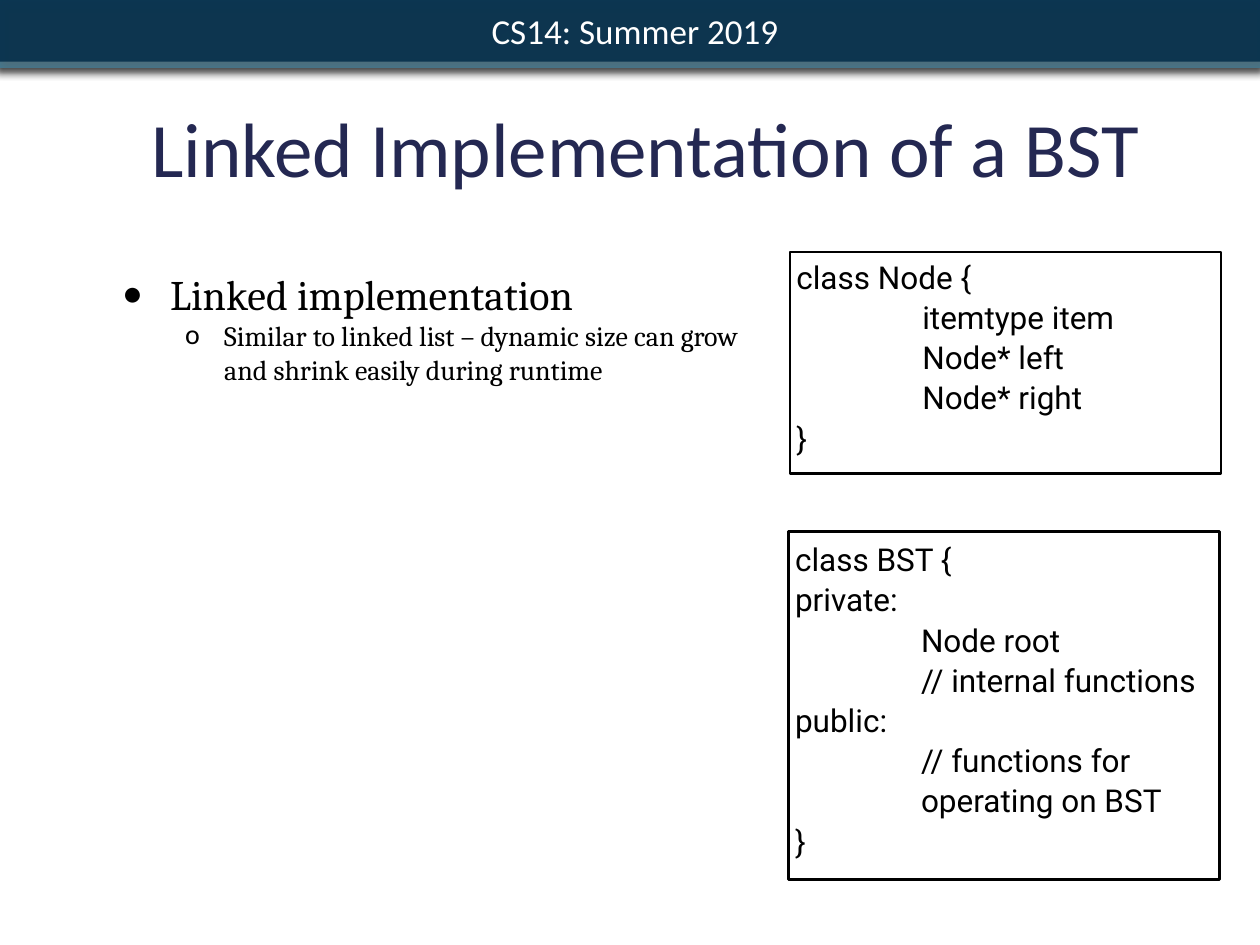
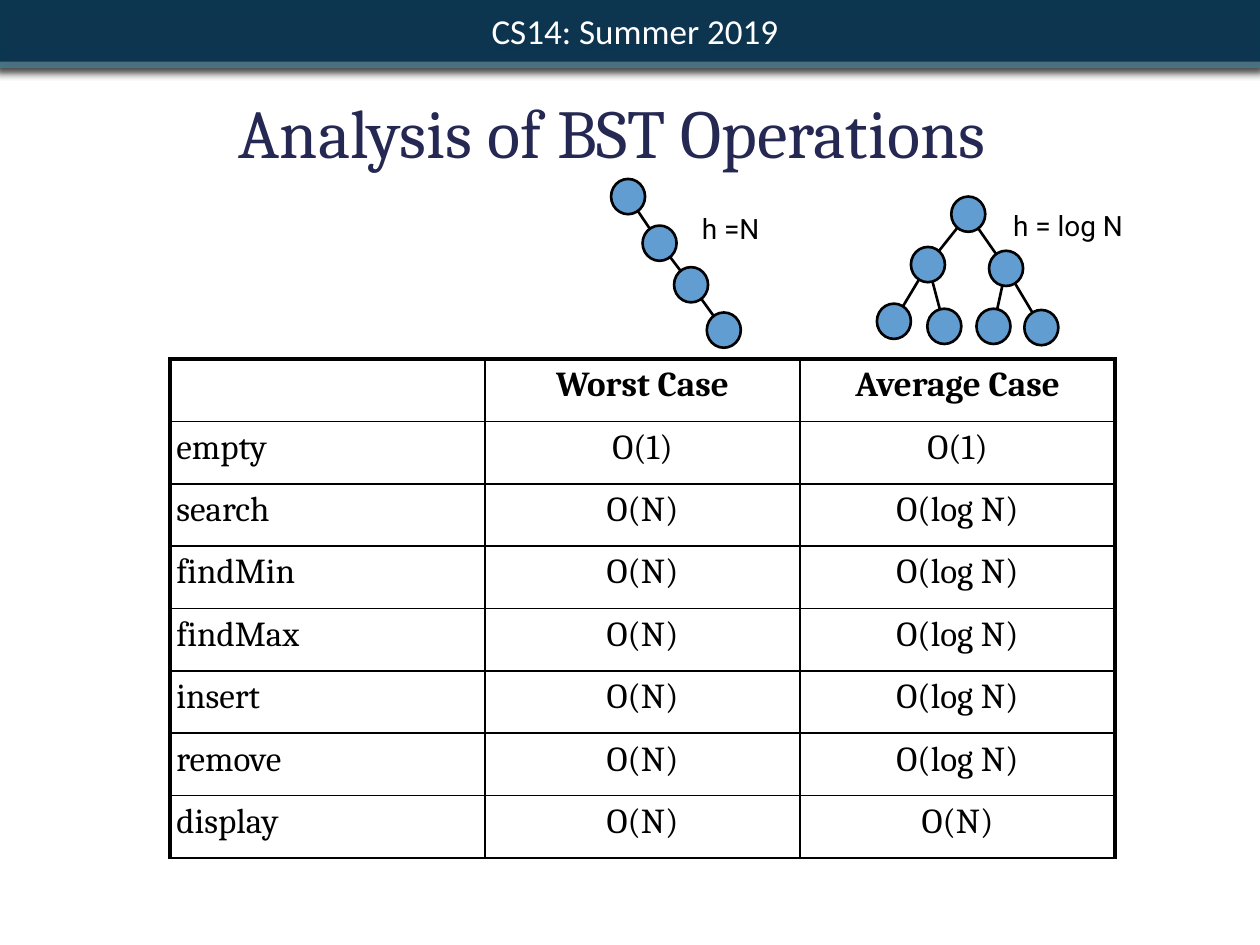
from dataclasses import dataclass
from math import hypot

from lxml.etree import SubElement
from pptx import Presentation
from pptx.dml.color import RGBColor
from pptx.enum.shapes import MSO_CONNECTOR as CONN, MSO_SHAPE as SHAPE
from pptx.enum.text import MSO_ANCHOR as ANCHOR, PP_ALIGN as ALIGN
from pptx.oxml.ns import qn
from pptx.util import Inches, Pt


@dataclass(frozen=True)
class Theme:
    navy: str = "062F4B"
    teal: str = "427A92"
    title: str = "242852"
    node: str = "629DD1"
    ink: str = "000000"
    shade: str = "5E5E5E"
    paper: str = "FFFFFF"
    sans: str = "Calibri"
    serif: str = "Cambria"
    code: str = "Roboto"
    header_size: float = 20
    code_size: float = 18
    label_size: float = 16
    table_size: float = 20
    outline: float = 1.5
    thin: float = 1
    thick: float = 2.25
    inset: float = 0.05


T = Theme()

HEADER = "CS14: Summer 2019"

# Title: text, box, font, size, line height in points
LINKED_TITLE = ("Linked Implementation of a BST", (0.67, 0.33, 8.91, 1.25), T.sans, 44, 58)
ANALYSIS_TITLE = ("Analysis of BST Operations", (0.61, 0.61, 8.5, 0.81), T.serif, 39.2, 51)

# Bullet: text, mark, size, left margin, hanging indent
BULLETS_BOX = (0.92, 2.08, 5.37, 4.5)
BULLETS = [
    ("Linked implementation", "•", 24, 0.38, 0.38),
    ("Similar to linked list – dynamic size can grow and shrink easily during runtime",
     "o", 16, 0.81, 0.31),
]

CLASSES = [
    ((6.27, 2, 3.42, 1.76),
     ["class Node {", "\titemtype item", "\tNode* left", "\tNode* right", "}"]),
    ((6.26, 4.22, 3.42, 2.76),
     ["class BST {", "private:", "\tNode root", "\t// internal functions", "public:",
      "\t// functions for", "\toperating on BST", "}"]),
]

TABLE_BOX = (1.35, 2.85, 7.5, 3.96)
COSTS = [
    ("", "Worst Case", "Average Case"),
    ("empty", "O(1)", "O(1)"),
    ("search", "O(N)", "O(log N)"),
    ("findMin", "O(N)", "O(log N)"),
    ("findMax", "O(N)", "O(log N)"),
    ("insert", "O(N)", "O(log N)"),
    ("remove", "O(N)", "O(log N)"),
    ("display", "O(N)", "O(N)"),
]

# Tree: label, label box, top left corners of nodes, parent of each later node
NODE_W, NODE_H = 0.27, 0.28
TREES = [
    ("h = log N", (7.99, 1.61, 1.05, 0.36),
     [(7.55, 1.56), (7.23, 1.96), (7.85, 1.99), (6.96, 2.41),
      (7.36, 2.45), (7.75, 2.45), (8.13, 2.46)],
     [0, 0, 1, 1, 2, 2]),
    ("h =N", (5.52, 1.63, 0.62, 0.36),
     [(4.85, 1.42), (5.1, 1.79), (5.35, 2.12), (5.61, 2.48)],
     [0, 1, 2]),
]


def rgb(value):
    return RGBColor.from_string(value)


def inches(values):
    return [Inches(v) for v in values]


def sub(parent, tag, **attrs):
    return SubElement(parent, qn(tag), {k: str(v) for k, v in attrs.items()})


def put(p, text, size, name, color=T.ink, bold=False):
    r = p.add_run()
    r.text = text
    for key, value in {"size": Pt(size), "name": name, "bold": bold}.items():
        setattr(r.font, key, value)
    r.font.color.rgb = rgb(color)


def set_frame(obj, anchor=ANCHOR.TOP, wrap=True, inset=T.inset):
    tf = obj.text_frame
    frame = {"vertical_anchor": anchor, "word_wrap": wrap}
    frame.update({f"margin_{s}": Inches(inset) for s in ("left", "top", "right", "bottom")})
    for key, value in frame.items():
        setattr(tf, key, value)
    return tf


def paragraphs(tf, items):
    """Yield a paragraph of the frame with each item."""
    for i, item in enumerate(items):
        yield (tf.add_paragraph() if i else tf.paragraphs[0]), item


def add_block(shapes, kind, box, fill=None, line=None):
    sp = shapes.add_shape(kind, *inches(box))
    sp.shadow.inherit = False
    if fill:
        sp.fill.solid()
        sp.fill.fore_color.rgb = rgb(fill)
    else:
        sp.fill.background()
    if line:
        sp.line.color.rgb = rgb(line)
        sp.line.width = Pt(T.outline)
    else:
        sp.line.fill.background()
    return sp


def add_shadow(sp, color, alpha):
    effects = sp._element.spPr.find(qn("a:effectLst"))
    shadow = sub(effects, "a:outerShdw", blurRad=Pt(5), dist=Pt(2), dir=90 * 60000,
                 algn="tl", rotWithShape=0)
    sub(sub(shadow, "a:srgbClr", val=color), "a:alpha", val=alpha * 1000)


def add_header(slide):
    strip = add_block(slide.shapes, SHAPE.RECTANGLE, (-0.04, 0, 10.07, 0.54), T.teal)
    add_shadow(strip, T.ink, 75)
    band = add_block(slide.shapes, SHAPE.RECTANGLE, (-0.01, 0, 10.03, 0.49), T.navy)
    add_shadow(band, T.shade, 50)
    color = band._element.spPr.find(qn("a:solidFill"))[0]
    sub(color, "a:alpha", val=90000)
    tf = set_frame(band, ANCHOR.MIDDLE, inset=0.06)
    tf.margin_left = Inches(0.13)
    p = tf.paragraphs[0]
    p.alignment = ALIGN.CENTER
    put(p, HEADER, T.header_size, T.sans, T.paper)


def add_title(slide, text, box, font, size, leading):
    tf = set_frame(slide.shapes.add_textbox(*inches(box)), ANCHOR.BOTTOM)
    p = tf.paragraphs[0]
    p.alignment = ALIGN.CENTER
    p.line_spacing = Pt(leading)
    put(p, text, size, font, T.title)


def add_bullets(slide):
    tf = set_frame(slide.shapes.add_textbox(*inches(BULLETS_BOX)))
    for p, (text, mark, size, margin, hang) in paragraphs(tf, BULLETS):
        pPr = p._p.get_or_add_pPr()
        pPr.set("marL", str(Inches(margin)))
        pPr.set("indent", str(-Inches(hang)))
        sub(pPr, "a:buFont", typeface=T.sans)
        sub(pPr, "a:buChar", char=mark)
        put(p, text, size, T.serif)


def add_code(slide, box, lines):
    sp = add_block(slide.shapes, SHAPE.RECTANGLE, box, line=T.ink)
    tf = set_frame(sp, ANCHOR.MIDDLE)
    for p, line in paragraphs(tf, lines):
        tabs = sub(p._p.get_or_add_pPr(), "a:tabLst")
        sub(tabs, "a:tab", pos=Inches(1), algn="l")
        p.alignment = ALIGN.LEFT
        p.line_spacing = 0.6
        if line is not lines[0]:
            p.space_before = Pt(10)
        put(p, line, T.code_size, T.code)


def set_borders(cell, widths):
    tcPr = cell._tc.get_or_add_tcPr()
    for side, width in widths.items():
        ln = sub(tcPr, f"a:ln{side}", w=Pt(width))
        sub(sub(ln, "a:solidFill"), "a:srgbClr", val=T.ink)


def add_costs(slide):
    rows, cols = len(COSTS), len(COSTS[0])
    table = slide.shapes.add_table(rows, cols, *inches(TABLE_BOX)).table
    table.first_row = table.horz_banding = False
    for i, row in enumerate(COSTS):
        for j, text in enumerate(row):
            cell = table.cell(i, j)
            for side in ("left", "top", "right", "bottom"):
                setattr(cell, f"margin_{side}", Inches(T.inset))
            set_borders(cell, {
                "L": T.thin if j else T.thick,
                "R": T.thin if j < cols - 1 else T.thick,
                "T": T.thin if i else T.thick,
                "B": T.thin,
            })
            cell.fill.background()
            p = cell.text_frame.paragraphs[0]
            p.alignment = ALIGN.CENTER if j else ALIGN.LEFT
            if text:
                put(p, text, T.table_size, T.serif, bold=i == 0)


def add_edge(shapes, parent, child):
    """Join the rims of two nodes along the line between their centres."""
    dx, dy = child[0] - parent[0], child[1] - parent[1]
    reach = NODE_H / 2 / hypot(dx, dy)
    ends = []
    for x, y, way in ((*parent, reach), (*child, -reach)):
        ends += [x + NODE_W / 2 + way * dx, y + NODE_H / 2 + way * dy]
    line = shapes.add_connector(CONN.STRAIGHT, *inches(ends))
    line.line.color.rgb = rgb(T.ink)
    line.line.width = Pt(T.outline)
    sub(line._element.spPr, "a:effectLst")


def add_tree(slide, label, box, nodes, parents):
    shapes = slide.shapes.add_group_shape().shapes
    for x, y in nodes:
        add_block(shapes, SHAPE.OVAL, (x, y, NODE_W, NODE_H), T.node, T.ink)
    for child, parent in zip(nodes[1:], parents):
        add_edge(shapes, nodes[parent], child)
    tf = set_frame(shapes.add_textbox(*inches(box)), ANCHOR.MIDDLE, wrap=False)
    put(tf.paragraphs[0], label, T.label_size, T.code)


def new_slide(prs, title):
    slide = prs.slides.add_slide(prs.slide_layouts[6])
    add_header(slide)
    add_title(slide, *title)
    return slide


def main():
    prs = Presentation()
    prs.slide_width, prs.slide_height = Inches(10), Inches(7.5)

    linked = new_slide(prs, LINKED_TITLE)
    add_bullets(linked)
    for box, lines in CLASSES:
        add_code(linked, box, lines)

    analysis = new_slide(prs, ANALYSIS_TITLE)
    add_costs(analysis)
    for tree in TREES:
        add_tree(analysis, *tree)

    prs.save("out.pptx")


if __name__ == "__main__":
    main()
